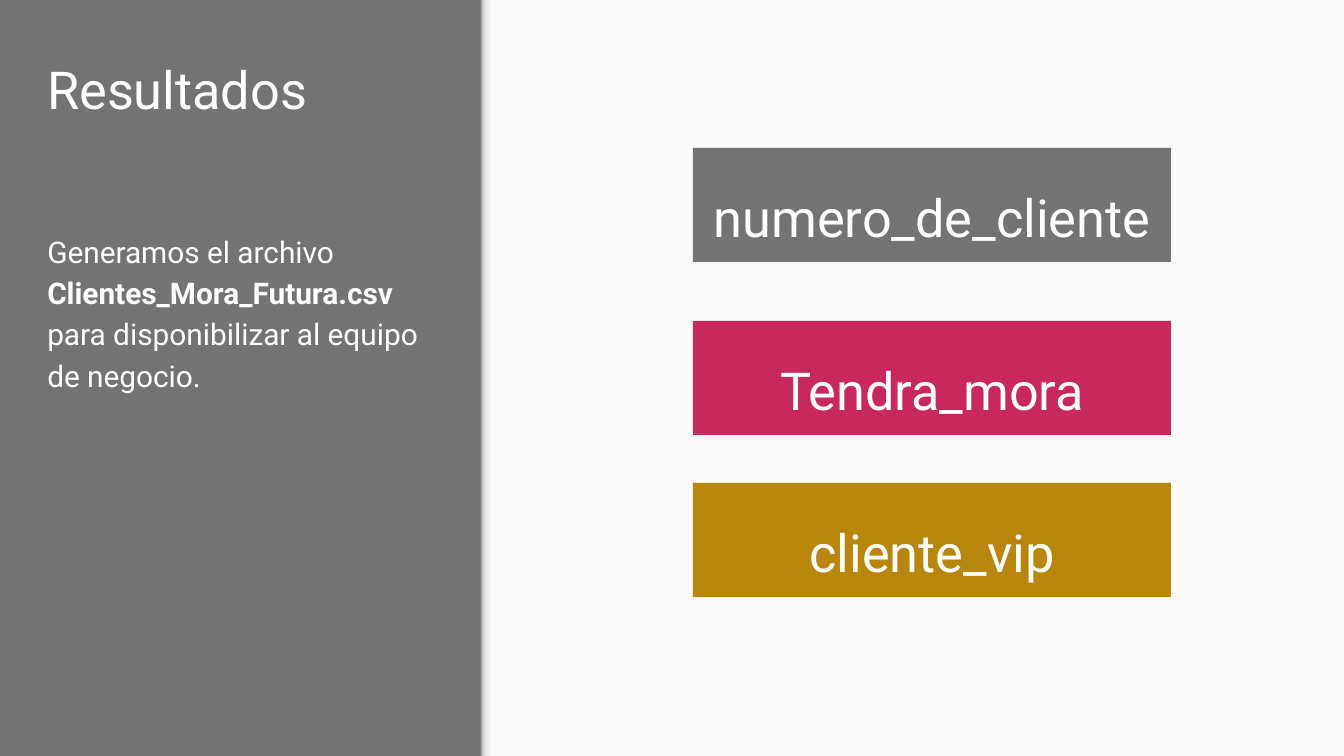
from lxml import etree
from pptx import Presentation
from pptx import util as u
from pptx.dml.color import RGBColor
from pptx.enum import shapes, text
from pptx.oxml.ns import qn

PX = 914400 / 134.4
COLORS = {"gray": "737373", "paper": "FAFAFA", "white": "FFFFFF",
          "pink": "C8285B", "gold": "B8860B"}
EDGE_STOPS = [(0, "999999"), (20, "DEDEDE"), (64, "F9F9F9"), (100, "F9F9F9")]


def add_box(kind, *box):
    """Add a rect or a text box at left, top, width, height in px."""
    dims = [round(v * PX) for v in box]
    if kind == "text":
        sp = s.shapes.add_textbox(*dims)
    else:
        sp = s.shapes.add_shape(shapes.MSO_SHAPE.RECTANGLE, *dims)
        sp.shadow.inherit = False
        sp.line.fill.background()
        sp.fill.solid()
        sp.fill.fore_color.rgb = RGBColor.from_string(COLORS[kind])
    tf = sp.text_frame
    tf.word_wrap = True
    tf.margin_left = tf.margin_right = tf.margin_top = tf.margin_bottom = u.Inches(0.1)
    return sp


def style(p, size):
    for r in p.runs:
        r.font.name = "Roboto"
        r.font.size = u.Pt(size)
        r.font.color.rgb = RGBColor.from_string(COLORS["white"])


prs = Presentation()
prs.slide_width, prs.slide_height = round(1344 * PX), round(756 * PX)
s = prs.slides.add_slide(prs.slide_layouts[6])
s.background.fill.solid()
s.background.fill.fore_color.rgb = RGBColor.from_string(COLORS["gray"])

# Light right panel with a soft edge
add_box("paper", 481, 0, 863, 756)
edge = add_box("paper", 481, 0, 16, 756)
edge.fill.gradient()
edge.fill.gradient_angle = 0
stops = edge.element.spPr.find(".//" + qn("a:gsLst"))
for gs in list(stops):
    stops.remove(gs)
for pos, color in EDGE_STOPS:
    gs = etree.SubElement(stops, qn("a:gs"), pos=str(pos * 1000))
    etree.SubElement(gs, qn("a:srgbClr"), val=color)

# Left column
tf = add_box("text", 34, 52, 413, 140).text_frame
tf.margin_top = round(5 * PX)
tf.text = "Resultados"
style(tf.paragraphs[0], 28)

p = add_box("text", 34, 215, 413, 465).text_frame.paragraphs[0]
p.line_spacing = 1.15
for words, bold in [("Generamos el archivo ", False),
                    ("Clientes_Mora_Futura.csv ", True),
                    ("para disponibilizar al equipo de negocio.", False)]:
    r = p.add_run()
    r.text = words
    r.font.bold = bold
style(p, 16)

# Columns of the generated file
for field, color, top in [("numero_de_cliente", "gray", 148),
                          ("Tendra_mora", "pink", 321),
                          ("cliente_vip", "gold", 483)]:
    tf = add_box(color, 693, top, 478, 114).text_frame
    tf.vertical_anchor = text.MSO_ANCHOR.MIDDLE
    tf.text = field
    p = tf.paragraphs[0]
    p.alignment = text.PP_ALIGN.CENTER
    p.line_spacing = 1.36
    style(p, 28)

prs.save("out.pptx")
